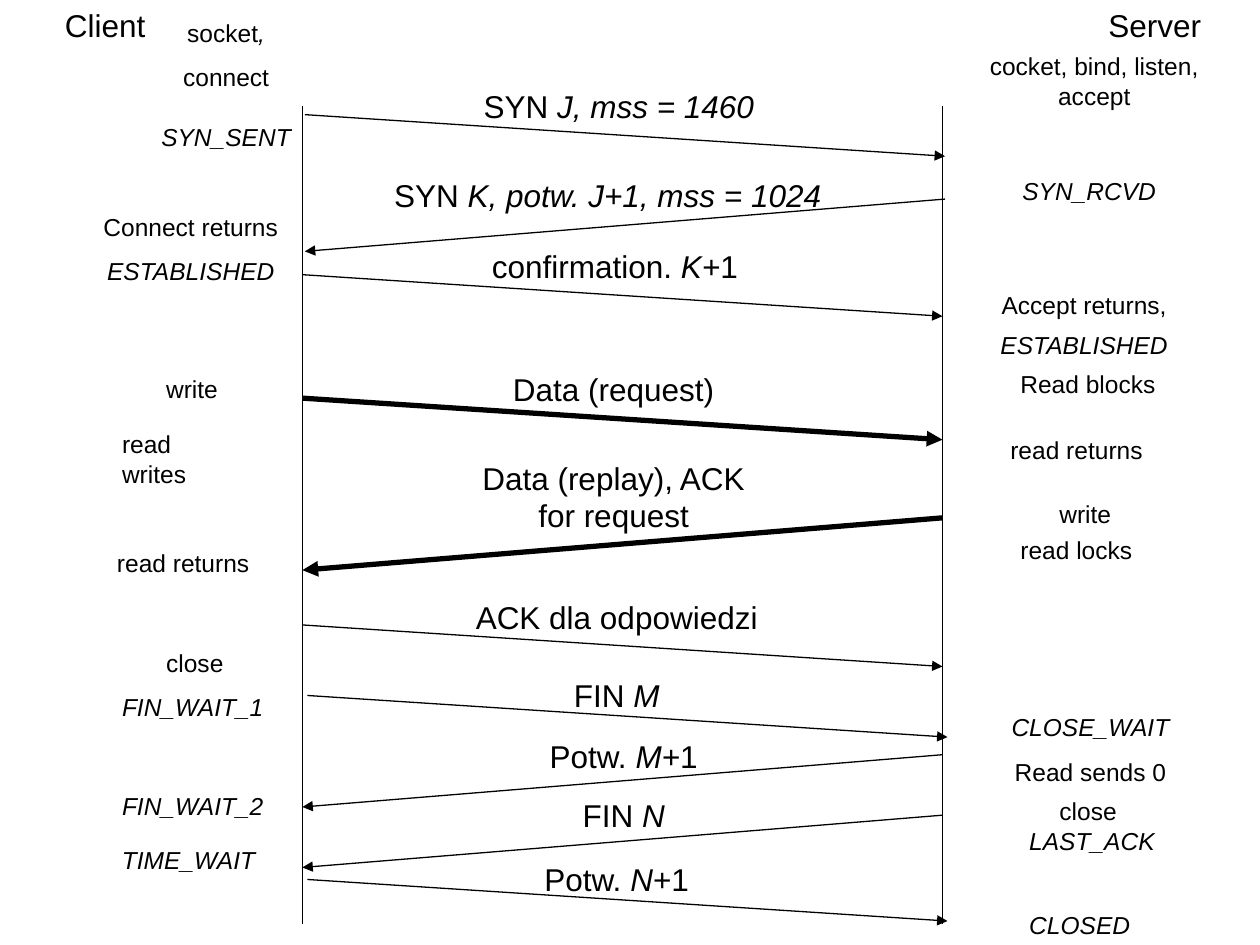
"""Build a slide showing a TCP connection between a client and a server."""
from lxml import etree
from pptx import Presentation
from pptx.dml.color import RGBColor
from pptx.enum.shapes import MSO_CONNECTOR
from pptx.enum.text import MSO_AUTO_SIZE, PP_ALIGN
from pptx.oxml.ns import qn
from pptx.util import Inches, Pt

BLACK = RGBColor(0, 0, 0)
LEFT, CENTER = PP_ALIGN.LEFT, PP_ALIGN.CENTER
STRAIGHT = MSO_CONNECTOR.STRAIGHT
GROW = MSO_AUTO_SIZE.SHAPE_TO_FIT_TEXT
CLIENT, SERVER = 2.4, 7.48

deck = Presentation()
deck.slide_width, deck.slide_height = Inches(10), Inches(7.5)
slide = deck.slides.add_slide(deck.slide_layouts[6])


def add_text(text, left, top, width, height=0.34, size=14, align=CENTER, wrap=True):
    """Add a text box; asterisks enclose italic words."""
    box = slide.shapes.add_textbox(Inches(left), Inches(top), Inches(width), Inches(height))
    frame = box.text_frame
    frame.word_wrap = wrap
    frame.auto_size = GROW
    for row, line in enumerate(text.split("\n")):
        para = frame.paragraphs[0] if row == 0 else frame.add_paragraph()
        para.alignment = align
        if row:
            para.space_before = Pt(8.8)
        for part, words in enumerate(line.split("*")):
            if words:
                run = para.add_run()
                run.text = words
                run.font.name = "Arial"
                run.font.size = Pt(size)
                run.font.italic = part % 2 == 1
                run.font.color.rgb = BLACK


def add_line(x1, y1, x2, y2, weight=0.75, arrow=True):
    """Add a black line, with an arrowhead at its end if wanted."""
    line = slide.shapes.add_connector(STRAIGHT, Inches(x1), Inches(y1), Inches(x2), Inches(y2))
    line.line.color.rgb = BLACK
    line.line.width = Pt(weight)
    if arrow:
        etree.SubElement(line.line._get_or_add_ln(), qn("a:tailEnd"), type="triangle")
    etree.SubElement(line._element.spPr, qn("a:effectLst"))


for x in (CLIENT, SERVER):
    add_line(x, 0.84, x, 7.33, arrow=False)

requests = [
    (0.91, 0.02, 0.75), (2.18, 0, 0.75), (3.16, 0, 3),
    (4.96, 0, 0.75), (5.52, 0.04, 0.75), (6.98, 0.04, 0.75),
]
for y, shift, weight in requests:
    add_line(CLIENT + shift, y, SERVER + shift, y + 0.33, weight)

replies = [(1.58, 0.02, 0.75), (4.11, 0, 3), (5.99, 0, 0.75), (6.47, 0, 0.75)]
for y, shift, weight in replies:
    add_line(SERVER + shift, y, CLIENT + shift, y + 0.415, weight)

add_text("Client", 0, 0, 1.67, 0.4, size=18)
add_text("Server", 8.33, 0, 1.67, 0.4, size=18)

messages = [
    ("SYN *J, mss = 1460*", 3.74, 0.64, 2.68, LEFT),
    ("SYN *K, potw. J+1, mss = 1024*", 3.03, 1.35, 4.13, LEFT),
    ("confirmation. *K+*1", 3.67, 1.91, 2.42, CENTER),
    ("Data (request)", 3.66, 2.89, 2.42, CENTER),
    ("Data (replay), ACK for request", 3.66, 3.59, 2.42, CENTER),
    ("ACK dla odpowiedzi", 3.43, 4.7, 2.93, CENTER),
    ("FIN *M*", 3.43, 5.32, 2.93, CENTER),
    ("Potw. *M+*1", 3.74, 5.8, 2.42, CENTER),
    ("FIN *N*", 3.74, 6.27, 2.42, CENTER),
    ("Potw. *N*+1", 3.43, 6.78, 2.93, CENTER),
]
for text, x, y, width, align in messages:
    add_text(text, x, y, width, 0.7 if "replay" in text else 0.4, size=18, align=align)

states = [
    ("socket*,*\nconnect", 0.71, 0.09, 0.69),
    ("*SYN_SENT*", 0.71, 0.92, 0.34),
    ("Connect returns\n*ESTABLISHED*", 0.43, 1.63, 0.69),
    ("cocket, bind, listen, accept", 7.6, 0.36, 0.57),
    ("*SYN_RCVD*", 7.56, 1.35, 0.34),
    ("Accept returns,", 7.52, 2.25, 0.34),
    ("*ESTABLISHED*", 7.52, 2.57, 0.34),
    ("*CLOSE_WAIT*\nRead sends 0", 7.57, 5.6, 0.69),
]
for text, x, y, height in states:
    add_text(text, x, y, 2.17, height)

steps = [
    ("write", 1.22, 2.92, 0.66),
    ("read writes", 0.87, 3.36, 1.15),
    ("read returns", 0.83, 4.3, 1.25),
    ("close", 1.22, 5.09, 0.71),
    ("*FIN_WAIT_1*", 0.87, 5.44, 1.38),
    ("*FIN_WAIT_2*", 0.87, 6.23, 1.38),
    ("*TIME_WAIT*", 0.87, 6.66, 1.26),
    ("Read blocks", 8, 2.88, 1.27),
    ("read returns", 7.92, 3.4, 1.25),
    ("write", 8.31, 3.91, 0.66),
    ("read locks", 8, 4.2, 1.09),
    ("close", 8.31, 6.27, 0.71),
    ("*LAST_ACK*", 8.07, 6.51, 1.25),
    ("*CLOSED*", 8.07, 7.17, 1.05),
]
for text, x, y, width in steps:
    add_text(text, x, y, width, align=LEFT, wrap=False)

deck.save("out.pptx")
